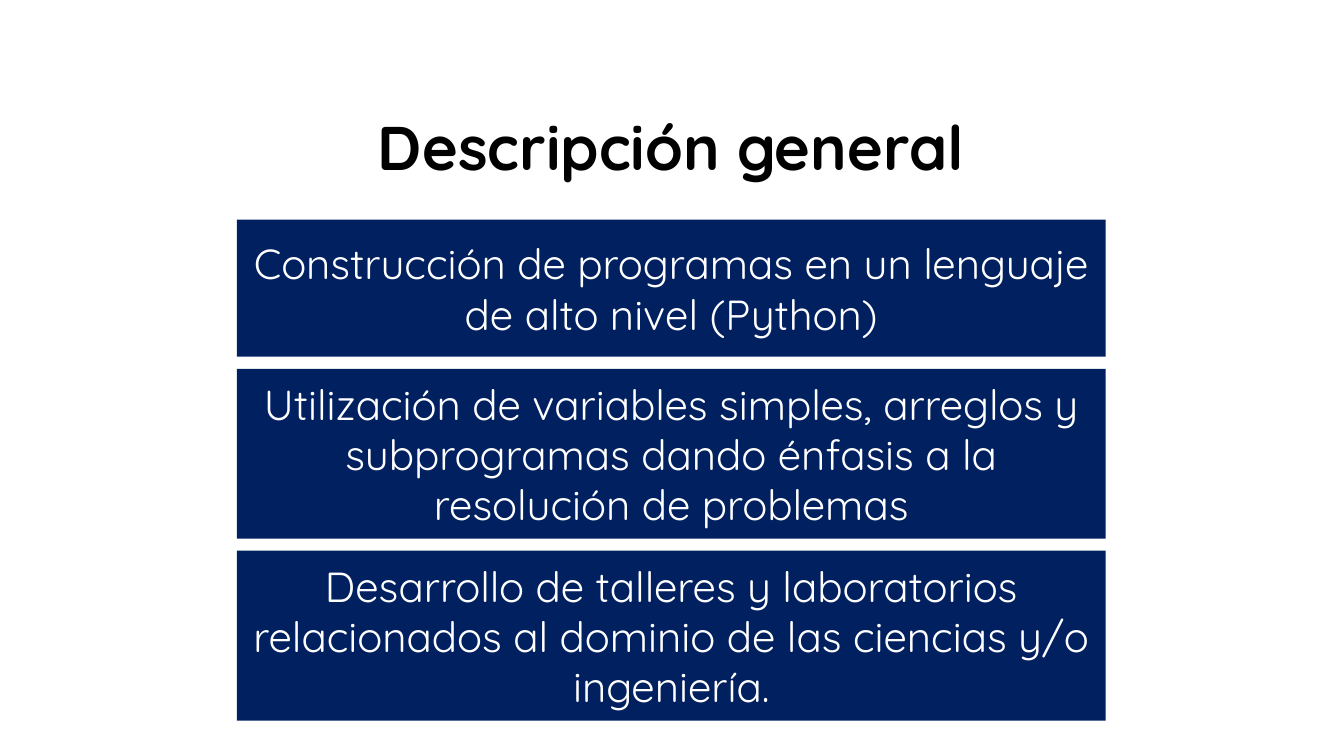
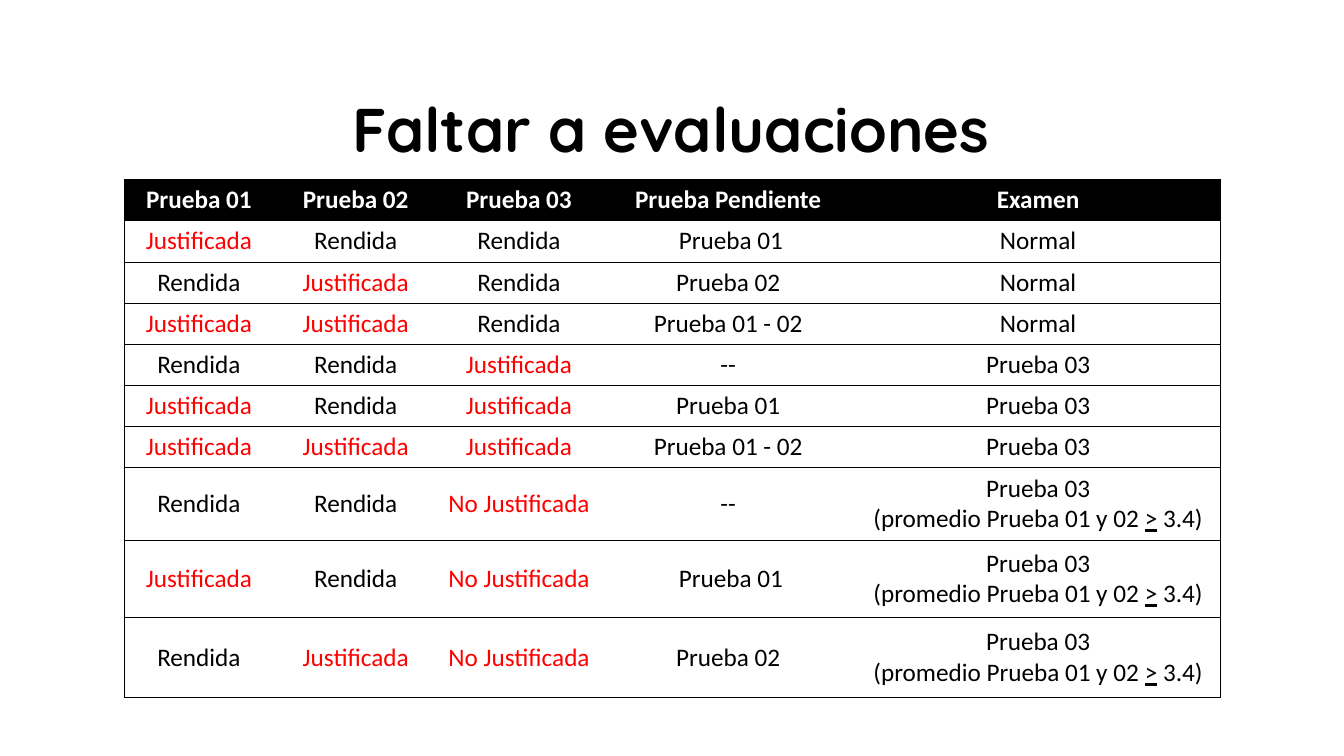
"""Build two course slides: an overview in bands and a table of missed tests."""
from dataclasses import dataclass

from lxml.etree import SubElement
from pptx import Presentation
from pptx.dml.color import RGBColor
from pptx.enum.shapes import MSO_SHAPE
from pptx.enum.text import MSO_ANCHOR, PP_ALIGN
from pptx.oxml.ns import qn
from pptx.slide import Slide
from pptx.table import _Cell
from pptx.text.text import TextFrame, _Paragraph
from pptx.util import Pt

BLACK, WHITE, NAVY, RED = "000000", "FFFFFF", "002060", "FF0000"
HEADING_FONT, TABLE_FONT = "Quicksand", "Calibri"
CONTENT_LEFT, CONTENT_WIDTH = 169.2, 620.6
TITLE_HEIGHT = 98
BANDS_TOP, BAND_GAP = 156.8, 8.6
TABLE_LEFT, TABLE_TOP = 88.8, 128.3
COLUMN_WIDTHS = [106.6, 117.4, 115.9, 182.9, 259.9]
ROW_HEIGHTS = [29.4] * 7 + [51.6, 55.6, 57]


@dataclass(frozen=True)
class Band:
    text: str
    height: float


@dataclass(frozen=True)
class Outcome:
    tests: tuple[str, str, str]
    pending: str
    exam: str
    conditional: bool = False


BANDS = [
    Band("Construcción de programas en un lenguaje de alto nivel (Python)", 98),
    Band("Utilización de variables simples, arreglos y subprogramas dando "
         "énfasis a la resolución de problemas", 121.4),
    Band("Desarrollo de talleres y laboratorios relacionados al dominio de "
         "las ciencias y/o ingeniería.", 121.4),
]

TAKEN, EXCUSED, UNEXCUSED = "Rendida", "Justificada", "No Justificada"
HEADERS = ["Prueba 01", "Prueba 02", "Prueba 03", "Prueba Pendiente", "Examen"]
OUTCOMES = [
    Outcome((EXCUSED, TAKEN, TAKEN), " Prueba 01", "Normal"),
    Outcome((TAKEN, EXCUSED, TAKEN), "Prueba 02", "Normal"),
    Outcome((EXCUSED, EXCUSED, TAKEN), "Prueba 01 - 02", "Normal"),
    Outcome((TAKEN, TAKEN, EXCUSED), "--", "Prueba 03"),
    Outcome((EXCUSED, TAKEN, EXCUSED), "Prueba 01", "Prueba 03"),
    Outcome((EXCUSED, EXCUSED, EXCUSED), "Prueba 01 - 02", "Prueba 03"),
    Outcome((TAKEN, TAKEN, UNEXCUSED), "--", "Prueba 03", True),
    Outcome((EXCUSED, TAKEN, UNEXCUSED), " Prueba 01", "Prueba 03", True),
    Outcome((TAKEN, EXCUSED, UNEXCUSED), "Prueba 02", "Prueba 03", True),
]


def rgb(color: str) -> RGBColor:
    return RGBColor.from_string(color)


def style(paragraph: _Paragraph, font: str, size: float, color: str,
          bold: bool = False) -> None:
    paragraph.alignment = PP_ALIGN.CENTER
    paragraph.font.name = font
    paragraph.font.size = Pt(size)
    paragraph.font.bold = bold
    paragraph.font.color.rgb = rgb(color)


def fill_frame(frame: TextFrame, text: str) -> _Paragraph:
    frame.word_wrap = True
    frame.vertical_anchor = MSO_ANCHOR.MIDDLE
    paragraph = frame.paragraphs[0]
    paragraph.text = text
    return paragraph


def add_title(slide: Slide, text: str, top: float) -> None:
    title = slide.shapes.add_textbox(
        Pt(CONTENT_LEFT), Pt(top), Pt(CONTENT_WIDTH), Pt(TITLE_HEIGHT))
    paragraph = fill_frame(title.text_frame, text)
    paragraph.line_spacing = 0.9
    style(paragraph, HEADING_FONT, 44, BLACK, bold=True)


def add_band(slide: Slide, band: Band, top: float) -> None:
    shape = slide.shapes.add_shape(
        MSO_SHAPE.RECTANGLE, Pt(CONTENT_LEFT), Pt(top),
        Pt(CONTENT_WIDTH), Pt(band.height))
    shape.shadow.inherit = False
    shape.fill.solid()
    shape.fill.fore_color.rgb = rgb(NAVY)
    shape.line.fill.background()
    style(fill_frame(shape.text_frame, band.text), HEADING_FONT, 30, WHITE)


def set_borders(cell: _Cell, visible: str) -> None:
    properties = cell._tc.get_or_add_tcPr()
    for side in "LRTB":
        line = SubElement(properties, qn(f"a:ln{side}"), w=str(Pt(0.5)))
        if side in visible:
            solid = SubElement(line, qn("a:solidFill"))
            SubElement(solid, qn("a:srgbClr"), val=BLACK)
        else:
            SubElement(line, qn("a:noFill"))


def fill_cell(cell: _Cell, text: str, color: str, background: str,
              borders: str, bold: bool = False) -> None:
    set_borders(cell, borders)
    cell.fill.solid()
    cell.fill.fore_color.rgb = rgb(background)
    cell.vertical_anchor = MSO_ANCHOR.TOP if bold else MSO_ANCHOR.MIDDLE
    paragraph = cell.text_frame.paragraphs[0]
    paragraph.text = text
    style(paragraph, TABLE_FONT, 18, color, bold)


def add_condition(cell: _Cell) -> None:
    paragraph = cell.text_frame.add_paragraph()
    style(paragraph, TABLE_FONT, 18, BLACK)
    for text in ("(promedio Prueba 01 y 02 ", ">", " 3.4)"):
        run = paragraph.add_run()
        run.text = text
        if text == ">":
            run.font.underline = True


def add_outcomes_table(slide: Slide) -> None:
    table = slide.shapes.add_table(
        len(ROW_HEIGHTS), len(COLUMN_WIDTHS), Pt(TABLE_LEFT), Pt(TABLE_TOP),
        Pt(sum(COLUMN_WIDTHS)), Pt(sum(ROW_HEIGHTS))).table
    table.first_row = table.horz_banding = False
    for column, width in zip(table.columns, COLUMN_WIDTHS):
        column.width = Pt(width)
    for row, height in zip(table.rows, ROW_HEIGHTS):
        row.height = Pt(height)

    last = len(HEADERS) - 1
    borders = ["TB" + {0: "L", last: "R"}.get(i, "") for i in range(len(HEADERS))]
    for i, header in enumerate(HEADERS):
        fill_cell(table.cell(0, i), header, WHITE, BLACK, borders[i], bold=True)
    for row_number, outcome in enumerate(OUTCOMES, start=1):
        for i, text in enumerate((*outcome.tests, outcome.pending, outcome.exam)):
            color = RED if text in (EXCUSED, UNEXCUSED) else BLACK
            fill_cell(table.cell(row_number, i), text, color, WHITE, borders[i])
        if outcome.conditional:
            add_condition(table.cell(row_number, last))


def main() -> None:
    deck = Presentation()
    deck.slide_width, deck.slide_height = Pt(960), Pt(540)
    blank = deck.slide_layouts[6]

    overview = deck.slides.add_slide(blank)
    add_title(overview, "Descripción general", 58.5)
    top = BANDS_TOP
    for band in BANDS:
        add_band(overview, band, top)
        top += band.height + BAND_GAP

    absences = deck.slides.add_slide(blank)
    add_title(absences, "Faltar a evaluaciones", 45.5)
    add_outcomes_table(absences)

    deck.save("out.pptx")


if __name__ == "__main__":
    main()
